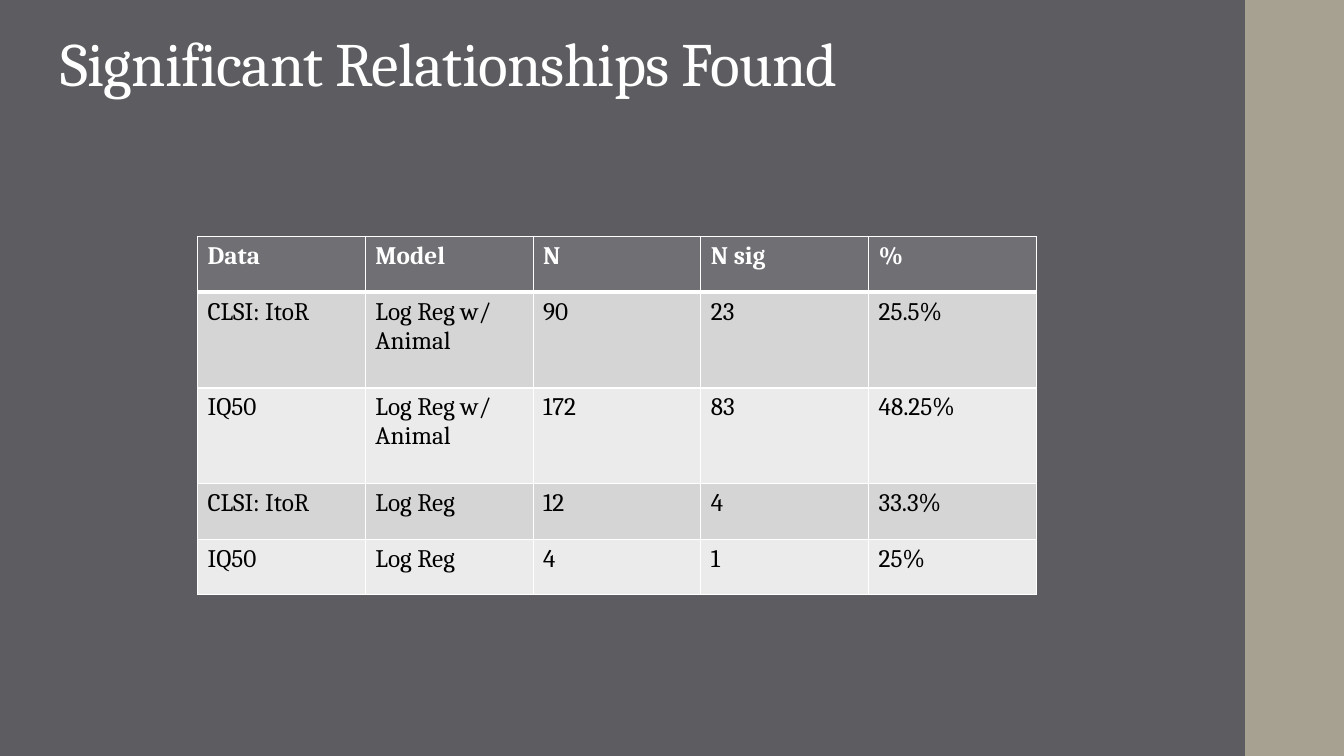
from dataclasses import dataclass

from lxml import etree
from pptx import Presentation
from pptx import util as u
from pptx.dml.color import RGBColor
from pptx.enum import shapes, text
from pptx.oxml import ns

FONT = "Cambria"
COLORS = {
    "background": "5C5C61",
    "band": "A7A192",
    "header": "6F6F74",
    "odd": "D5D5D6",
    "even": "EBEBEB",
    "light": "FFFFFF",
    "dark": "000000",
}


@dataclass(frozen=True)
class Row:
    values: tuple[str, ...]
    height: float
    fill: str
    ink: str = "dark"
    bold: bool = False
    top_line: float = 1
    bottom_line: float = 1


ROWS = [
    Row(("Data", "Model", "N", "N sig", "%"), 0.55, "header", "light", True, bottom_line=3),
    Row(("CLSI: ItoR", "Log Reg w/ Animal", "90", "23", "25.5%"), 0.95, "odd", top_line=3),
    Row(("IQ50", "Log Reg w/ Animal", "172", "83", "48.25%"), 0.95, "even"),
    Row(("CLSI: ItoR", "Log Reg", "12", "4", "33.3%"), 0.55, "odd"),
    Row(("IQ50", "Log Reg", "4", "1", "25%"), 0.55, "even"),
]


def color(name: str) -> RGBColor:
    return RGBColor.from_string(COLORS[name])


def style_paragraph(paragraph, size: float, ink: str, bold: bool = False) -> None:
    font = paragraph.font
    font.name, font.size, font.bold = FONT, u.Pt(size), bold
    font.color.rgb = color(ink)


def add_borders(cell, row: Row) -> None:
    widths = {"lnL": 1, "lnR": 1, "lnT": row.top_line, "lnB": row.bottom_line}
    properties = cell._tc.get_or_add_tcPr()
    for position, (side, width) in enumerate(widths.items()):
        line = etree.Element(ns.qn(f"a:{side}"), w=str(u.Pt(width)))
        fill = etree.SubElement(line, ns.qn("a:solidFill"))
        etree.SubElement(fill, ns.qn("a:srgbClr"), val=COLORS["light"])
        properties.insert(position, line)


def add_results(slide, rows: list[Row]) -> None:
    columns = len(rows[0].values)
    table = slide.shapes.add_table(
        len(rows), columns, u.Inches(1.96), u.Inches(2.35),
        u.Inches(8.32), u.Inches(sum(row.height for row in rows)),
    ).table
    table.horz_banding = False
    for row_index, row in enumerate(rows):
        table.rows[row_index].height = u.Inches(row.height)
        for column_index, value in enumerate(row.values):
            cell = table.cell(row_index, column_index)
            cell.text = value
            cell.fill.solid()
            cell.fill.fore_color.rgb = color(row.fill)
            style_paragraph(cell.text_frame.paragraphs[0], 18, row.ink, row.bold)
            add_borders(cell, row)


def add_title(slide, wording: str) -> None:
    title = slide.shapes.add_textbox(
        u.Inches(0.5), u.Inches(0.28), u.Inches(10.6), u.Inches(0.9)
    ).text_frame
    title.word_wrap = True
    title.vertical_anchor = text.MSO_ANCHOR.TOP
    paragraph = title.paragraphs[0]
    paragraph.line_spacing = 0.9
    style_paragraph(paragraph, 44, "light")
    run = paragraph.add_run()
    run.text = wording
    run._r.get_or_add_rPr().set("spc", "-50")


def add_band(slide) -> None:
    band = slide.shapes.add_shape(
        shapes.MSO_SHAPE.RECTANGLE,
        u.Inches(12.35), 0, u.Inches(0.98), u.Inches(7.5),
    )
    band.shadow.inherit = False
    band.fill.solid()
    band.fill.fore_color.rgb = color("band")
    band.line.fill.background()


def main() -> None:
    presentation = Presentation()
    presentation.slide_width = u.Inches(13.33)
    presentation.slide_height = u.Inches(7.5)
    slide = presentation.slides.add_slide(presentation.slide_layouts[6])

    # Background and side band
    slide.background.fill.solid()
    slide.background.fill.fore_color.rgb = color("background")
    add_band(slide)

    # Table of results and title
    add_results(slide, ROWS)
    add_title(slide, "Significant Relationships Found")

    presentation.save("out.pptx")


if __name__ == "__main__":
    main()
